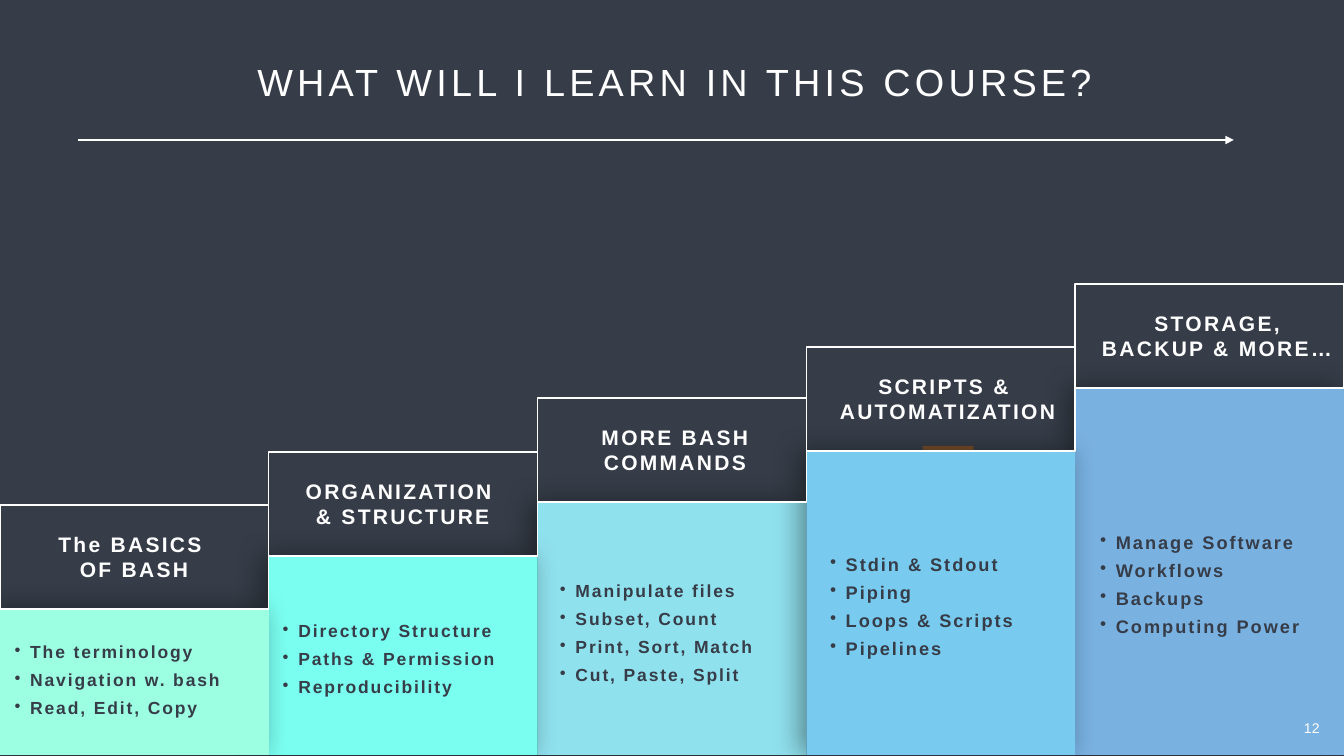
import pptx
import pptx.dml.color
import pptx.enum.shapes
import pptx.enum.text
import pptx.oxml
import pptx.oxml.ns
import pptx.util
from lxml import etree

COLORS = {
    "background": "363D48", "white": "FFFFFF", "brown": "754C29",
    "mint": "9CFFE2", "turquoise": "7AFEF0", "aqua": "90E1EE",
    "sky": "78CAEE", "blue": "79B1E1",
}
TITLE = "WHAT WILL I LEARN IN THIS COURSE?"
PAGE_NUMBER = "12"

# Boxes are (left, top, width, height) in px; a heading has only (left, width).
STEPS = [
    {"color": "mint", "top": 609, "heading": ["The BASICS ", "OF BASH"],
     "heading_span": (53, 162), "wrap": False, "topics_box": (12, 632, 245, 88),
     "size": 25, "spacing": 2.7,
     "topics": ["The terminology", "Navigation w. bash", "Read, Edit, Copy"]},
    {"color": "turquoise", "top": 556, "heading": ["ORGANIZATION ", "& STRUCTURE"],
     "heading_span": (258, 289), "wrap": True, "topics_box": (280, 611, 251, 88),
     "size": 25, "spacing": 2.7,
     "topics": ["Directory Structure", "Paths & Permission", "Reproducibility"]},
    {"color": "aqua", "top": 502, "heading": ["MORE BASH", "COMMANDS"],
     "heading_span": (596, 157), "wrap": False, "topics_box": (557, 571, 230, 115),
     "size": 25, "spacing": 2.7,
     "topics": ["Manipulate files", "Subset, Count", "Print, Sort, Match", "Cut, Paste, Split"]},
    {"color": "sky", "top": 451, "heading": ["SCRIPTS & ", "AUTOMATIZATION"],
     "heading_span": (835, 224), "wrap": False, "topics_box": (827, 545, 230, 115),
     "size": 26, "spacing": 2.8,
     "topics": ["Stdin & Stdout", "Piping", "Loops & Scripts", "Pipelines"]},
    {"color": "blue", "top": 388, "heading": ["STORAGE, ", "BACKUP & MORE… "],
     "heading_span": (1097, 247), "wrap": False, "topics_box": (1097, 523, 279, 115),
     "size": 26, "spacing": 2.8,
     "topics": ["Manage Software", "Workflows", "Backups", "Computing Power"]},
]
STACKING = [2, 1, 0, 4, 3]  # steps from back to front, for their shadows

PX = 914400 / 50.4
SLIDE_WIDTH, SLIDE_BOTTOM = 1343, 755
STEP_WIDTH = SLIDE_WIDTH / len(STEPS)
FRAME_HEIGHT, HEADING_INSET, HEADING_HEIGHT = 104, 24, 55


def px(value):
    return pptx.util.Emu(round(value * PX))


def rgb(name):
    return pptx.dml.color.RGBColor.from_string(COLORS[name])


def add_effects(shape, shadow=""):
    effects = f'<a:effectLst {pptx.oxml.ns.nsdecls("a")}>{shadow}</a:effectLst>'
    shape._element.spPr.append(pptx.oxml.parse_xml(effects))


def add_rectangle(slide, box, fill=None, line=None, shadow=False):
    shape = slide.shapes.add_shape(
        pptx.enum.shapes.MSO_SHAPE.RECTANGLE, *map(px, box))
    if fill:
        shape.fill.solid()
        shape.fill.fore_color.rgb = rgb(fill)
    else:
        shape.fill.background()
    if line:
        shape.line.color.rgb = rgb(line)
        shape.line.width = pptx.util.Pt(2)
    else:
        shape.line.fill.background()
    if shadow:
        add_effects(shape, '<a:outerShdw blurRad="508000" dist="127000" dir="11100000" '
                           'algn="ctr" rotWithShape="0"><a:srgbClr val="000000">'
                           '<a:alpha val="40000"/></a:srgbClr></a:outerShdw>')
    else:
        shape.shadow.inherit = False


def add_text(slide, lines, box, shape=None, size=30, color="white", bold=False,
             spacing=0, wrap=False, bullets=False, margin=0.05):
    """Write one paragraph per line into the given shape or a new text box."""
    if shape is None:
        shape = slide.shapes.add_textbox(*map(px, box))
    else:
        shape.left, shape.top, shape.width, shape.height = map(px, box)
    frame = shape.text_frame
    frame.word_wrap = wrap
    frame.auto_size = pptx.enum.text.MSO_AUTO_SIZE.SHAPE_TO_FIT_TEXT
    frame.vertical_anchor = pptx.enum.text.MSO_ANCHOR.TOP
    frame.margin_left = frame.margin_right = pptx.util.Inches(margin)
    frame.margin_top = frame.margin_bottom = pptx.util.Inches(margin)
    for index, line in enumerate(lines):
        paragraph = frame.add_paragraph() if index else frame.paragraphs[0]
        if bullets:
            properties = paragraph._p.get_or_add_pPr()
            indent = pptx.util.Inches(0.31)
            properties.set("marL", str(indent))
            properties.set("indent", str(-indent))
            bullet = etree.SubElement(properties, pptx.oxml.ns.qn("a:buChar"))
            bullet.set("char", "•")
            paragraph.line_spacing = pptx.util.Pt(40)
        else:
            paragraph.alignment = pptx.enum.text.PP_ALIGN.CENTER
        run = paragraph.add_run()
        run.text = line
        run.font.name = "Arial"
        run.font.size = pptx.util.Pt(size)
        run.font.bold = bold
        run.font.color.rgb = rgb(color)
        run._r.get_or_add_rPr().set("spc", str(round(spacing * 100)))


def add_arrow(slide, left, right, top):
    arrow = slide.shapes.add_connector(
        pptx.enum.shapes.MSO_CONNECTOR.STRAIGHT, px(left), px(top), px(right), px(top))
    arrow.line.color.rgb = rgb("white")
    arrow.line.width = pptx.util.Pt(4)
    tail = etree.SubElement(arrow.line._get_or_add_ln(), pptx.oxml.ns.qn("a:tailEnd"))
    tail.set("type", "triangle")
    add_effects(arrow)


def main():
    presentation = pptx.Presentation()
    presentation.slide_width = pptx.util.Inches(26.65)
    presentation.slide_height = pptx.util.Inches(15)
    slide = presentation.slides.add_slide(presentation.slide_layouts[5])
    slide.background.fill.solid()
    slide.background.fill.fore_color.rgb = rgb("background")

    add_text(slide, [TITLE], (246, 56, 857, 51), shape=slide.shapes.title,
             size=54, spacing=6)
    add_rectangle(slide, (922, 446, 51, 4), fill="brown")
    for index in STACKING:
        step = STEPS[index]
        add_rectangle(slide, (index * STEP_WIDTH, step["top"], STEP_WIDTH,
                              SLIDE_BOTTOM - step["top"]),
                      fill=step["color"], shadow=True)

    for index, step in enumerate(STEPS):
        frame_top = step["top"] - FRAME_HEIGHT
        left, width = step["heading_span"]
        add_text(slide, step["heading"],
                 (left, frame_top + HEADING_INSET, width, HEADING_HEIGHT),
                 bold=True, spacing=3.3, wrap=step["wrap"])
        add_text(slide, step["topics"], step["topics_box"], size=step["size"],
                 color="background", bold=True, spacing=step["spacing"],
                 wrap=True, bullets=True)
        add_rectangle(slide, (index * STEP_WIDTH, frame_top, STEP_WIDTH, FRAME_HEIGHT),
                      line="white")

    add_arrow(slide, 78, 1233, 140)
    add_text(slide, [PAGE_NUMBER], (1298, 714, 26, 27), size=20, margin=0.1)
    presentation.save("out.pptx")


if __name__ == "__main__":
    main()
